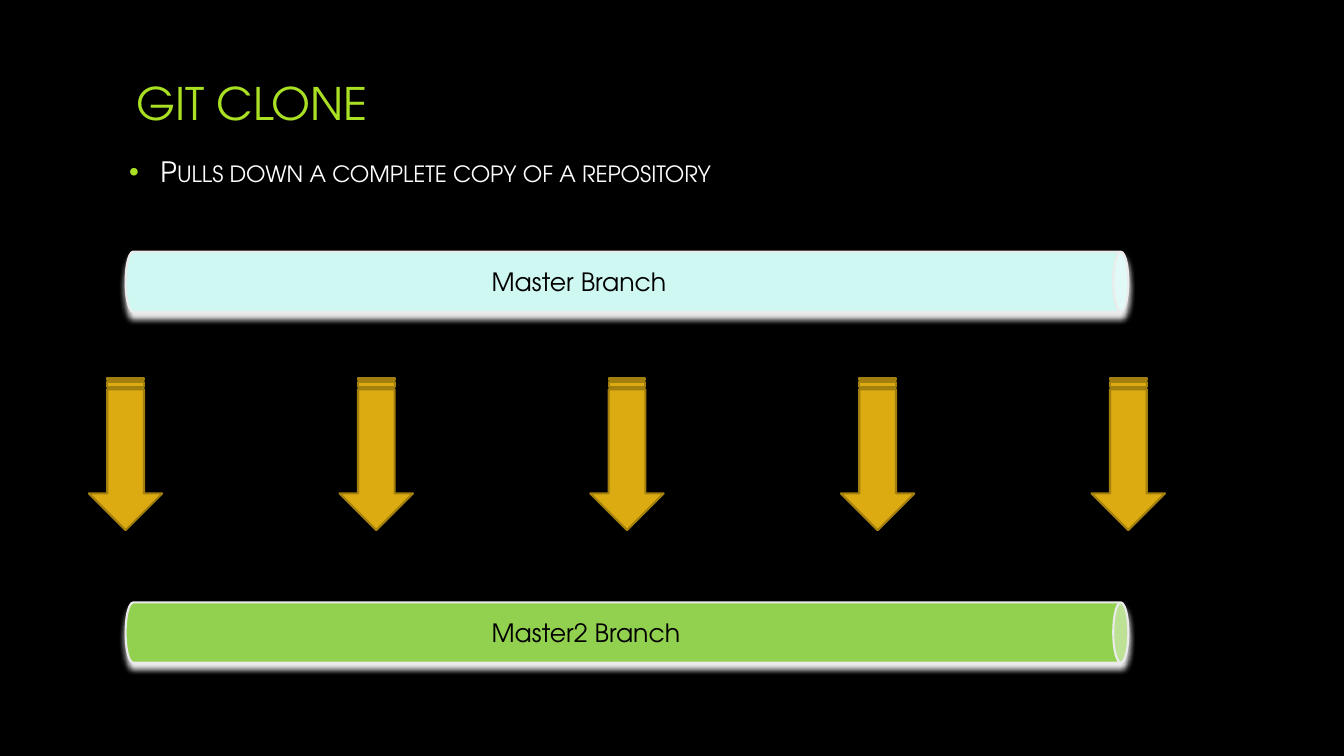
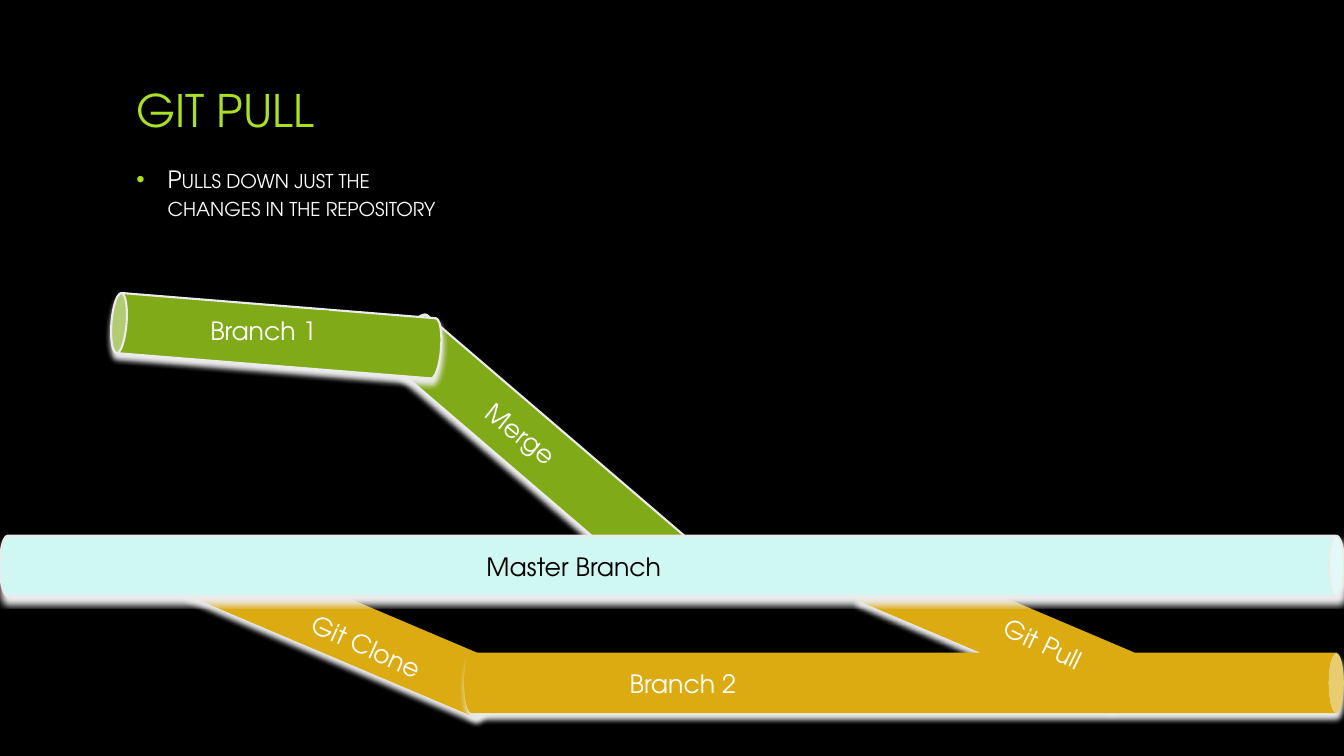
from lxml.etree import SubElement
from pptx import Presentation
from pptx.dml.color import RGBColor
from pptx.enum.shapes import MSO_SHAPE as Shape
from pptx.enum.text import MSO_ANCHOR as Anchor, MSO_AUTO_SIZE as Fit, PP_ALIGN as Align
from pptx.oxml.ns import qn
from pptx.util import Cm, Pt

FONT = "TeX Gyre Adventor"
BLACK = RGBColor(0x00, 0x00, 0x00)
WHITE = RGBColor(0xFF, 0xFF, 0xFF)
LIME = RGBColor(0xA9, 0xE0, 0x23)
PALE = RGBColor(0xCF, 0xF8, 0xF2)
GREEN = RGBColor(0x92, 0xD0, 0x50)
OLIVE = RGBColor(0x80, 0xAA, 0x18)
GOLD = RGBColor(0xDC, 0xAB, 0x11)
BROWN = RGBColor(0xA3, 0x7F, 0x0D)
GREY = RGBColor(0xEB, 0xEB, 0xEB)

WIDTH, HEIGHT = 33.87, 19.05
PIPE = 1.52
LINE = Pt(1.5)


def style(par, size, color):
    par.alignment = Align.LEFT
    for run in par.runs:
        font = run.font
        font.name, font.size, font.color.rgb = FONT, Pt(size), color


def place(shape, left, top, width, height):
    shape.left, shape.top = Cm(left), Cm(top)
    shape.width, shape.height = Cm(width), Cm(height)


def fill_holder(holder, box, text, size, color):
    """Move a placeholder, fill it and return its paragraph."""
    place(holder, *box)
    frame = holder.text_frame
    frame.text = text
    frame.auto_size = Fit.NONE
    frame.vertical_anchor = Anchor.MIDDLE
    par = frame.paragraphs[0]
    style(par, size, color)
    return par


def add_slide(prs, title, height, point, size, left, width):
    """Add a slide with a title and, right below it, one bullet point."""
    slide = prs.slides.add_slide(prs.slide_layouts[1])
    top = 1.7
    fill_holder(slide.shapes.title, (3.18, top, 27.51, height), title, 32, LIME)
    par = fill_holder(slide.placeholders[1], (left, top + height, width, height),
                      point, size, WHITE)
    par.space_after = Pt(6)
    props = par._p.get_or_add_pPr()
    props.set("marL", str(Cm(0.79)))
    props.set("indent", str(-Cm(0.79)))
    SubElement(SubElement(props, qn("a:buClr")), qn("a:srgbClr"), val=str(LIME))
    par.runs[0].font._element.set("cap", "small")
    return slide


def add_shape(slide, kind, x, y, width, height, turn, fill, edge):
    """Add a turned shape centred on x, y."""
    shape = slide.shapes.add_shape(kind, Cm(x - width / 2), Cm(y - height / 2),
                                   Cm(width), Cm(height))
    shape.rotation = turn
    shape.shadow.inherit = False
    shape.fill.solid()
    shape.fill.fore_color.rgb = fill
    if edge is None:
        shape.line.fill.background()
    else:
        shape.line.color.rgb = edge
        shape.line.width = LINE
    return shape


def add_glow(shape):
    """Add a light shadow that falls straight down."""
    effects = shape.element.spPr.find(qn("a:effectLst"))
    shadow = SubElement(effects, qn("a:outerShdw"), blurRad=str(Pt(4)), dist=str(Pt(4)),
                        dir="5400000", algn="ctr", rotWithShape="0")
    SubElement(shadow, qn("a:srgbClr"), val=str(GREY))


def add_pipe(slide, x, y, length, fill, turn=90, edge=GREY, flip=None):
    pipe = add_shape(slide, Shape.CAN, x, y, PIPE, length, turn, fill, edge)
    if flip:
        pipe.element.spPr.find(qn("a:xfrm")).set(flip, "1")
    add_glow(pipe)


def add_label(slide, text, left, top, width, color=WHITE, fill=None, turn=0):
    box = slide.shapes.add_textbox(Cm(left), Cm(top), Cm(width), Cm(1.02))
    box.rotation = turn
    if fill is not None:
        box.fill.solid()
        box.fill.fore_color.rgb = fill
    frame = box.text_frame
    frame.word_wrap = True
    frame.text = text
    style(frame.paragraphs[0], 18, color)


def add_clone(prs):
    slide = add_slide(prs, "GIT CLONE", 1.75, "Pulls down a complete copy of a repository",
                      20, 3, 27.51)
    mid, length = 15.8, 25.27
    for text, y, width, fill in (("Master Branch", 7.1, 5.08, PALE),
                                 ("Master2 Branch", 15.94, 6.55, GREEN)):
        add_pipe(slide, mid, y, length, fill)
        add_label(slide, text, 12.14, y - 0.52, width, BLACK, fill)
    count = 5
    for i in range(count):
        x = mid - length / 2 + i * length / (count - 1)
        add_shape(slide, Shape.STRIPED_RIGHT_ARROW, x, 11.44, 3.84, 1.85, 90, GOLD, BROWN)


def add_pull(prs):
    slide = add_slide(prs, "GIT PULL", 2.11, "Pulls down just the changes in the repository",
                      17, 3.18, 8.2)
    for x, y, length, turn in ((13.56, 11.34, 9.07, 310.6), (6.96, 8.46, 8.33, 274.6)):
        add_pipe(slide, x, y, length, OLIVE, turn, flip="flipH")
    add_label(slide, "Branch 1", 5.05, 7.82, 3.25, fill=OLIVE)
    add_label(slide, "Merge", 11.76, 10.77, 3.61, turn=38.6)

    for x, y, length, turn in ((25.1, 15.79, 7.29, 293), (8.64, 15.84, 8.26, 293),
                               (22.78, 17.21, 22.17, 270)):
        add_pipe(slide, x, y, length, GOLD, turn, None, "flipV")
    add_label(slide, "Branch 2", 15.62, 16.71, 5.94)
    add_label(slide, "Git Clone", 7.52, 15.82, 3.61, turn=24.5)

    add_pipe(slide, WIDTH / 2, 14.26, WIDTH, PALE)
    add_label(slide, "Master Branch", 12.01, 13.77, 6.81, BLACK, PALE)
    add_label(slide, "Git Pull", 24.99, 15.75, 2.79, turn=25.6)


def main():
    prs = Presentation()
    prs.slide_width, prs.slide_height = Cm(WIDTH), Cm(HEIGHT)
    back = prs.slide_master.background.fill
    back.solid()
    back.fore_color.rgb = BLACK
    add_clone(prs)
    add_pull(prs)
    prs.save("out.pptx")


if __name__ == "__main__":
    main()
